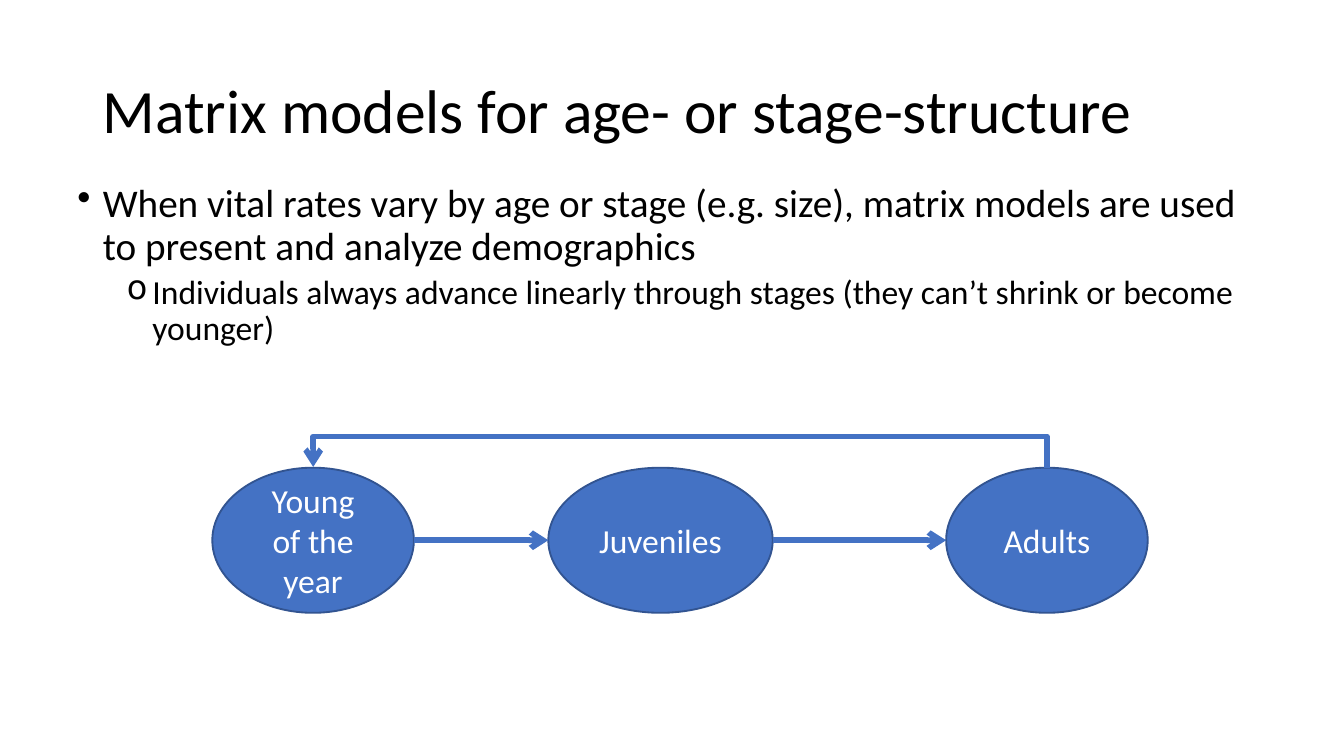
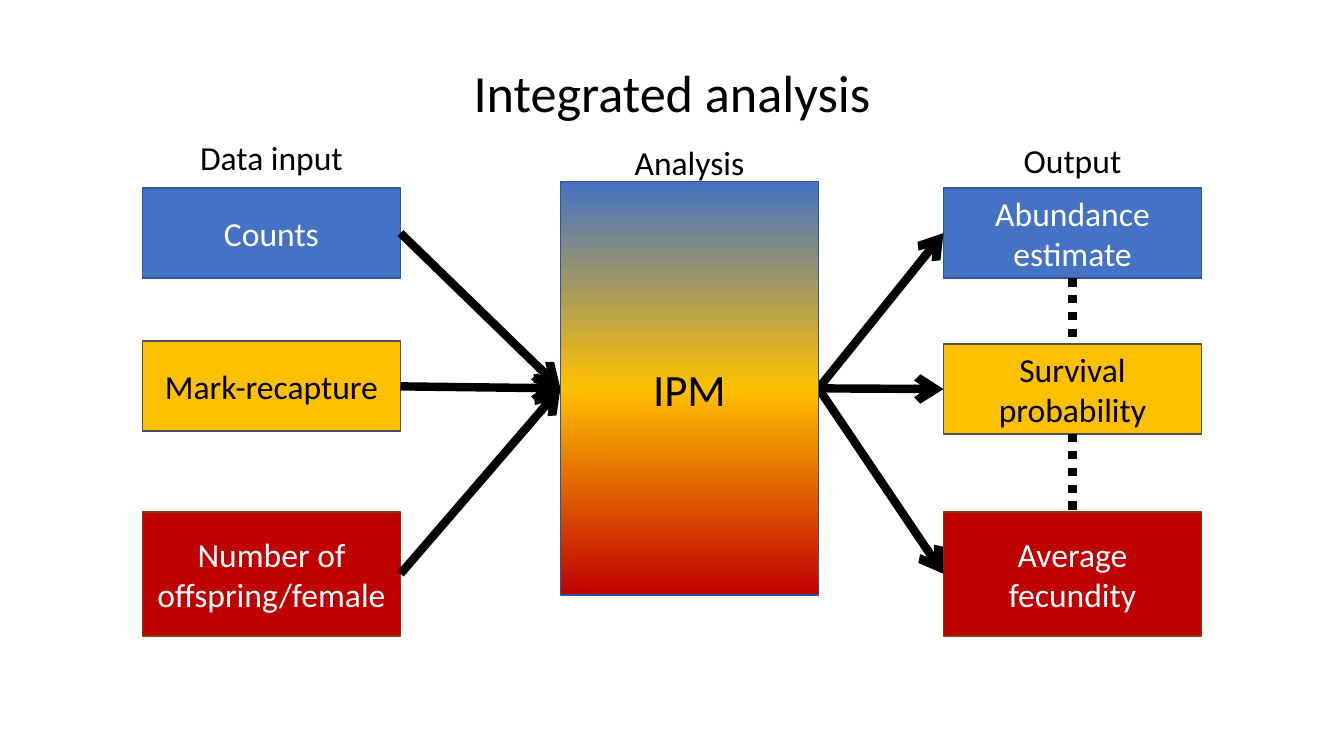
from copy import deepcopy
from dataclasses import dataclass
from typing import NamedTuple

from pptx import Presentation
from pptx.dml.color import RGBColor as Rgb
from pptx.enum.dml import MSO_LINE_DASH_STYLE as Dash
from pptx.enum.shapes import MSO_CONNECTOR as Wire, MSO_SHAPE as Form
from pptx.enum.text import MSO_ANCHOR as Anchor, PP_ALIGN as Align
from pptx.oxml.ns import qn
from pptx.oxml.xmlchemy import OxmlElement as Node
from pptx.shapes.autoshape import Shape
from pptx.shapes.connector import Connector as Link
from pptx.slide import Slide
from pptx.util import Inches, Pt

WIDE = Inches(10)
HIGH = WIDE * 9 // 16
CELL = WIDE // 100  # the grid has 100 columns of square cells
TOP, LEFT, BASE, RIGHT = range(4)


@dataclass(frozen=True)
class Theme:
    font: str = "Calibri"
    black: str = "000000"
    white: str = "FFFFFF"
    blue: str = "4472C4"
    navy: str = "325491"
    gold: str = "FFC000"
    gray: str = "525252"
    red: str = "C00000"
    brown: str = "843C0B"
    title: float = 33
    head: float = 28
    core: float = 24
    lead: float = 21
    body: float = 18
    edge: float = 1
    thin: float = 3
    thick: float = 4.5


LOOK = Theme()


class Box(NamedTuple):
    col: float
    row: float
    wide: float
    high: float

    def place(self) -> list[int]:
        return [cells(n) for n in self]


class Paint(NamedTuple):
    fill: str
    edge: str
    text: str


class Point(NamedTuple):
    text: str
    size: float
    mark: str
    level: int
    indent: float
    before: float


class Row(NamedTuple):
    """One band of the flow: an input, an output and their shared paint."""
    paint: Paint
    data: str
    data_row: float
    result: str
    result_row: float
    high: float


BLUE = Paint(LOOK.blue, LOOK.navy, LOOK.white)
GOLD = Paint(LOOK.gold, LOOK.gray, LOOK.black)
RED = Paint(LOOK.red, LOOK.brown, LOOK.white)

POINTS = [
    Point("When vital rates vary by age or stage (e.g. size), matrix models "
          "are used to present and analyze demographics",
          LOOK.lead, "•", 0, 1.9, 7.5),
    Point("Individuals always advance linearly through stages "
          "(they can’t shrink or become younger)",
          LOOK.body, "o", 1, 5.6, 3.8),
]
HANG = 1.9

STAGES = [
    ("Young of the year", Box(15.8, 34.8, 15, 10.8)),
    ("Juveniles", Box(40.8, 34.8, 16.7, 10.8)),
    ("Adults", Box(70.4, 34.8, 15, 10.8)),
]
RISE = 2.4

ROWS = [
    Row(BLUE, "Counts", 14, "Abundance estimate", 14, 6.7),
    Row(GOLD, "Mark-recapture", 25.4, "Survival probability", 25.6, 6.7),
    Row(RED, "Number of offspring/female", 38.1, "Average fecundity", 38.1, 9.2),
]
BAND = 19.2
DATA, CORE, RESULT = 10.6, 41.7, 70.2
HEADS = [("Data input", DATA, 9.7), ("Analysis", CORE, 10.1), ("Output", RESULT, 9.9)]


def cells(count: float) -> int:
    return round(count * CELL)


def write(para, text: str, size: float, ink: str) -> None:
    run = para.add_run()
    run.text = text
    run.font.name = LOOK.font
    run.font.size = Pt(size)
    run.font.color.rgb = Rgb.from_string(ink)


def add_text(slide: Slide, box: Box, tight: bool = False):
    """Add an empty wrapped text frame; tight gives it narrow insets."""
    frame = slide.shapes.add_textbox(*box.place()).text_frame
    frame.word_wrap = True
    if tight:
        frame.margin_left = frame.margin_right = cells(0.75)
        frame.margin_top = frame.margin_bottom = cells(0.38)
    return frame


def add_label(slide: Slide, box: Box, text: str, size: float) -> None:
    para = add_text(slide, box).paragraphs[0]
    para.alignment = Align.CENTER
    write(para, text, size, LOOK.black)


def add_points(slide: Slide, box: Box, points: list[Point]) -> None:
    frame = add_text(slide, box, tight=True)
    for i, point in enumerate(points):
        para = frame.add_paragraph() if i else frame.paragraphs[0]
        para.level = point.level
        para.line_spacing = 0.9
        para.space_before = Pt(point.before)
        props = para._p.get_or_add_pPr()
        props.set("marL", str(cells(point.indent)))
        props.set("indent", str(-cells(HANG)))
        mark = Node("a:buChar")
        mark.set("char", point.mark)
        props.append(mark)
        write(para, point.text, point.size, LOOK.black)


def add_block(slide: Slide, form: Form, box: Box, text: str, paint: Paint,
              size: float = LOOK.body) -> Shape:
    shape = slide.shapes.add_shape(form, *box.place())
    shape.shadow.inherit = False
    shape.fill.solid()
    shape.fill.fore_color.rgb = Rgb.from_string(paint.fill)
    shape.line.color.rgb = Rgb.from_string(paint.edge)
    shape.line.width = Pt(LOOK.edge)
    frame = shape.text_frame
    frame.word_wrap = True
    frame.vertical_anchor = Anchor.MIDDLE
    para = frame.paragraphs[0]
    para.alignment = Align.CENTER
    write(para, text, size, paint.text)
    return shape


def blend(shape: Shape, inks: list[str]) -> None:
    """Fill the shape from top to bottom with evenly spaced colours."""
    fill = shape.fill
    fill.gradient()
    fill.gradient_angle = 270
    stops = shape.element.spPr.find(qn("a:gradFill")).find(qn("a:gsLst"))
    while len(stops) < len(inks):
        stops.append(deepcopy(stops[0]))
    for i, (stop, ink) in enumerate(zip(fill.gradient_stops, inks)):
        stop.position = i / (len(inks) - 1)
        stop.color.rgb = Rgb.from_string(ink)


def style(link: Link, ink: str, width: float, arrow: bool = True) -> None:
    """Style a link as an arrow, or else as a dotted line."""
    link.line.color.rgb = Rgb.from_string(ink)
    link.line.width = Pt(width)
    if arrow:
        tip = Node("a:tailEnd")
        tip.set("type", "arrow")
        link.line._get_or_add_ln().append(tip)
    else:
        link.line.dash_style = Dash.ROUND_DOT
    link._element.spPr.append(Node("a:effectLst"))


def join(slide: Slide, start: Shape, out: int, end: Shape, into: int,
         arrow: bool = True) -> None:
    link = slide.shapes.add_connector(Wire.STRAIGHT, 0, 0, 0, 0)
    link.begin_connect(start, out)
    link.end_connect(end, into)
    style(link, LOOK.black, LOOK.thick, arrow)


def step(slide: Slide, start: Shape, end: Shape) -> None:
    """Point from the right of one oval to the left of the next."""
    mid = start.top + start.height // 2
    link = slide.shapes.add_connector(
        Wire.STRAIGHT, start.left + start.width, mid, end.left, mid)
    style(link, LOOK.blue, LOOK.thin)


def loop_back(slide: Slide, start: Shape, end: Shape) -> None:
    """Bend over the top from the last oval to the first."""
    link = slide.shapes.add_connector(Wire.ELBOW, 0, 0, 0, 0)
    link.begin_connect(start, TOP)
    link.end_connect(end, TOP)
    first = end.left + end.width // 2
    last = start.left + start.width // 2
    span, slim = last - first, cells(0.1)
    # The bend runs upward, so its slim frame is a quarter turn round.
    link.left = (first + last - slim) // 2
    link.top = start.top - span // 2
    link.width, link.height = slim, span
    props = link._element.spPr
    turn = props.find(qn("a:xfrm"))
    turn.set("rot", str(270 * 60000))
    turn.set("flipV", "1")
    turn.attrib.pop("flipH", None)
    guide = Node("a:gd")
    guide.set("name", "adj1")
    guide.set("fmla", f"val {cells(RISE) * 100000 // slim}")
    props.find(qn("a:prstGeom")).get_or_add_avLst().append(guide)
    style(link, LOOK.blue, LOOK.thin)


def draw_stages(slide: Slide) -> None:
    frame = add_text(slide, Box(6.9, 3, 86.2, 10.9), tight=True)
    frame.vertical_anchor = Anchor.MIDDLE
    frame.paragraphs[0].line_spacing = 0.9
    write(frame.paragraphs[0], "Matrix models for age- or stage-structure",
          LOOK.title, LOOK.black)
    add_points(slide, Box(5, 13.3, 90, 18.1), POINTS)
    ovals = [add_block(slide, Form.OVAL, box, text, BLUE) for text, box in STAGES]
    for start, end in zip(ovals, ovals[1:]):
        step(slide, start, end)
    loop_back(slide, ovals[-1], ovals[0])


def draw_flow(slide: Slide) -> None:
    add_label(slide, Box(22, 4, 56, 5.7), "Integrated analysis", LOOK.head)
    core = add_block(slide, Form.RECTANGLE, Box(CORE, 13.5, BAND, 30.8), "IPM",
                     Paint(LOOK.blue, LOOK.navy, LOOK.black), LOOK.core)
    blend(core, [row.paint.fill for row in ROWS])
    above = None
    for row in ROWS:
        data = add_block(slide, Form.RECTANGLE,
                         Box(DATA, row.data_row, BAND, row.high), row.data, row.paint)
        result = add_block(slide, Form.RECTANGLE,
                           Box(RESULT, row.result_row, BAND, row.high),
                           row.result, row.paint)
        join(slide, data, RIGHT, core, LEFT)
        join(slide, core, RIGHT, result, LEFT)
        if above is not None:
            join(slide, above, BASE, result, TOP, arrow=False)
        above = result
    core.element.getparent().append(core.element)  # bring to front
    for text, col, top in HEADS:
        add_label(slide, Box(col, top, BAND, 4), text, LOOK.body)


def main() -> None:
    deck = Presentation()
    deck.slide_width, deck.slide_height = WIDE, HIGH
    for draw in (draw_stages, draw_flow):
        draw(deck.slides.add_slide(deck.slide_layouts[6]))
    deck.save("out.pptx")


if __name__ == "__main__":
    main()
